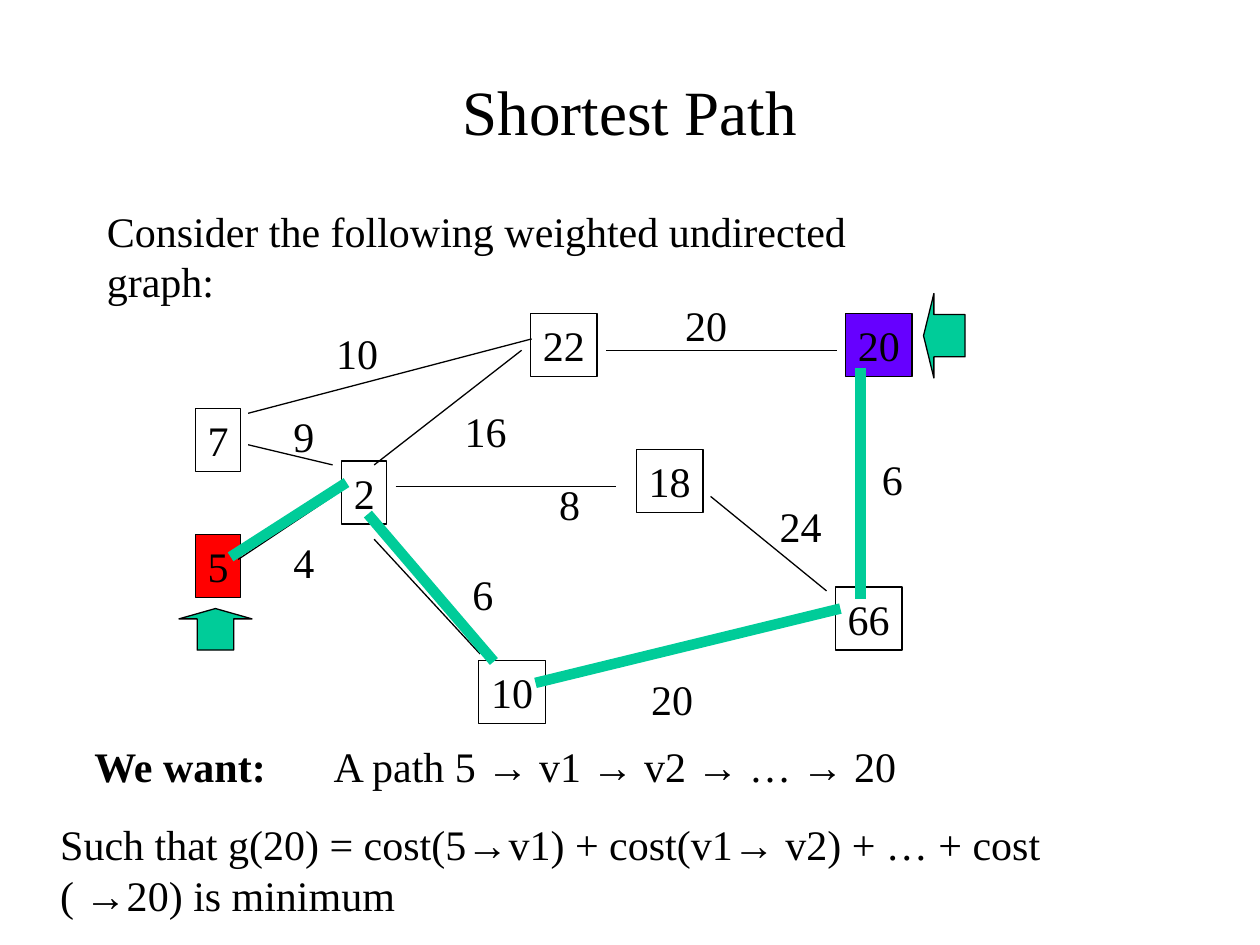
from lxml import etree
from pptx import Presentation
from pptx.dml.color import RGBColor
from pptx.enum import shapes as kinds, text as txt
from pptx.oxml import ns
from pptx.util import Inches, Pt

COLORS = {"ink": "000000", "start": "FF0000", "goal": "6600FF", "path": "00CC99"}
SERIF, ARROW = "Times New Roman", "→"
HIGH = 0.5

# Node value: left, top, fill
NODES = {
    "5": (0.55, 2.24, "start"),
    "2": (1.71, 1.66, None),
    "7": (0.55, 1.24, None),
    "10": (2.8, 3.24, None),
    "18": (4.05, 1.57, None),
    "22": (3.21, 0.49, None),
    "66": (5.63, 2.66, None),
    "20": (5.71, 0.49, "goal"),
}
# Line ends, then weight with its left and top
EDGES = [
    (0.89, 2.44, 1.64, 1.94, "4", 1.23, 2.21),
    (0.97, 1.53, 1.64, 1.69, "9", 1.23, 1.21),
    (1.97, 2.28, 2.81, 3.19, "6", 2.65, 2.46),
    (2.14, 1.86, 3.89, 1.86, "8", 3.34, 1.75),
    (1.97, 1.69, 3.14, 0.78, "16", 2.59, 1.17),
    (0.97, 1.28, 3.22, 0.69, "10", 1.57, 0.55),
    (3.31, 3.44, 5.47, 2.86, "20", 4.07, 3.3),
    (4.64, 1.94, 5.56, 2.69, "24", 5.09, 1.92),
    (3.81, 0.78, 5.64, 0.78, "20", 4.34, 0.33),
    (5.83, 2.58, 5.83, 1, "6", 5.9, 1.55),
]
ROUTE = [
    (0.83, 2.42, 1.75, 1.83),
    (1.92, 2.08, 2.92, 3.25),
    (3.25, 3.42, 5.67, 2.83),
    (5.83, 2.75, 5.83, 0.92),
]
# Arrows that mark both ends of the route
MARKS = [
    (kinds.MSO_SHAPE.UP_ARROW, 0.42, 2.83, 0.58, 0.33),
    (kinds.MSO_SHAPE.LEFT_ARROW, 6.33, 0.33, 0.33, 0.67),
]


def color(key):
    return RGBColor.from_string(COLORS[key])


def write(shape, words, size=24, bold=None, wrap=False, align=txt.PP_ALIGN.LEFT,
          anchor=txt.MSO_ANCHOR.TOP):
    """Fill a shape with one paragraph, with its arrows in Arial."""
    frame = shape.text_frame
    frame.word_wrap = wrap
    frame.vertical_anchor = anchor
    para = frame.paragraphs[0]
    para.alignment = align
    font = para.font
    font.name, font.size, font.bold = SERIF, Pt(size), bold
    font.color.rgb = color("ink")
    for i, part in enumerate(words.split(ARROW)):
        if i:
            run = para.add_run()
            run.text = ARROW
            run.font.name = "Arial"
        para.add_run().text = part


def label(parts, words, x, y, w, h=HIGH, **style):
    box = parts.add_textbox(Inches(x), Inches(y), Inches(w), Inches(h))
    write(box, words, **style)


def block(parts, kind, x, y, w, h, fill=None):
    shape = parts.add_shape(kind, Inches(x), Inches(y), Inches(w), Inches(h))
    shape.shadow.inherit = False
    if fill:
        shape.fill.solid()
        shape.fill.fore_color.rgb = color(fill)
    else:
        shape.fill.background()
    shape.line.color.rgb = color("ink")
    shape.line.width = Pt(0.75)
    return shape


def link(parts, x1, y1, x2, y2, key="ink", width=0.75):
    line = parts.add_connector(kinds.MSO_CONNECTOR.STRAIGHT, Inches(x1), Inches(y1),
                               Inches(x2), Inches(y2))
    line.line.color.rgb = color(key)
    line.line.width = Pt(width)
    etree.SubElement(line._element.spPr, ns.qn("a:effectLst"))


def span(value):
    """Width that fits a number of one or two digits."""
    return 0.19 + 0.17 * len(value)


def graph(parts, left, top):
    for value, (x, y, fill) in NODES.items():
        node = block(parts, kinds.MSO_SHAPE.RECTANGLE, left + x, top + y,
                     span(value), HIGH, fill)
        write(node, value)
    for x1, y1, x2, y2, cost, x, y in EDGES:
        link(parts, left + x1, top + y1, left + x2, top + y2)
        label(parts, cost, left + x, top + y, span(cost))
    for kind, x, y, w, h in MARKS:
        mark = block(parts, kind, left + x, top + y, w, h, "path")
        mark.adjustments[0], mark.adjustments[1] = 0.5, 0.25


def route(parts, left, top):
    for x1, y1, x2, y2 in ROUTE:
        link(parts, left + x1, top + y1, left + x2, top + y2, "path", 6)


def header(parts, left, top):
    label(parts, "Shortest Path", left, top, 8.5, 1.25, size=36, wrap=True,
          align=txt.PP_ALIGN.CENTER, anchor=txt.MSO_ANCHOR.MIDDLE)
    label(parts, "Consider the following weighted undirected graph:",
          left, top + 1.33, 7)


def aim(parts, left, top):
    pair = parts.add_group_shape().shapes
    label(pair, "We want:", left + 0.27, top, 1.58, bold=True)
    label(pair, "A path 5 → v1 → v2 → … → 20", left + 2.17, top, 4.68)
    label(parts, "Such that g(20) = cost(5→v1) + cost(v1→ v2) + … + cost ( →20)"
          " is minimum", left, top + 0.62, 9.03, 0.9, wrap=True)


def main():
    deck = Presentation()
    deck.slide_width, deck.slide_height = Inches(10), Inches(7.5)
    parts = deck.slides.add_slide(deck.slide_layouts[6]).shapes
    header(parts, 0.75, 0.25)
    graph(parts, 1, 2)
    aim(parts, 0.38, 5.83)
    route(parts.add_group_shape().shapes, 1, 2)
    deck.save("out.pptx")


if __name__ == "__main__":
    main()
